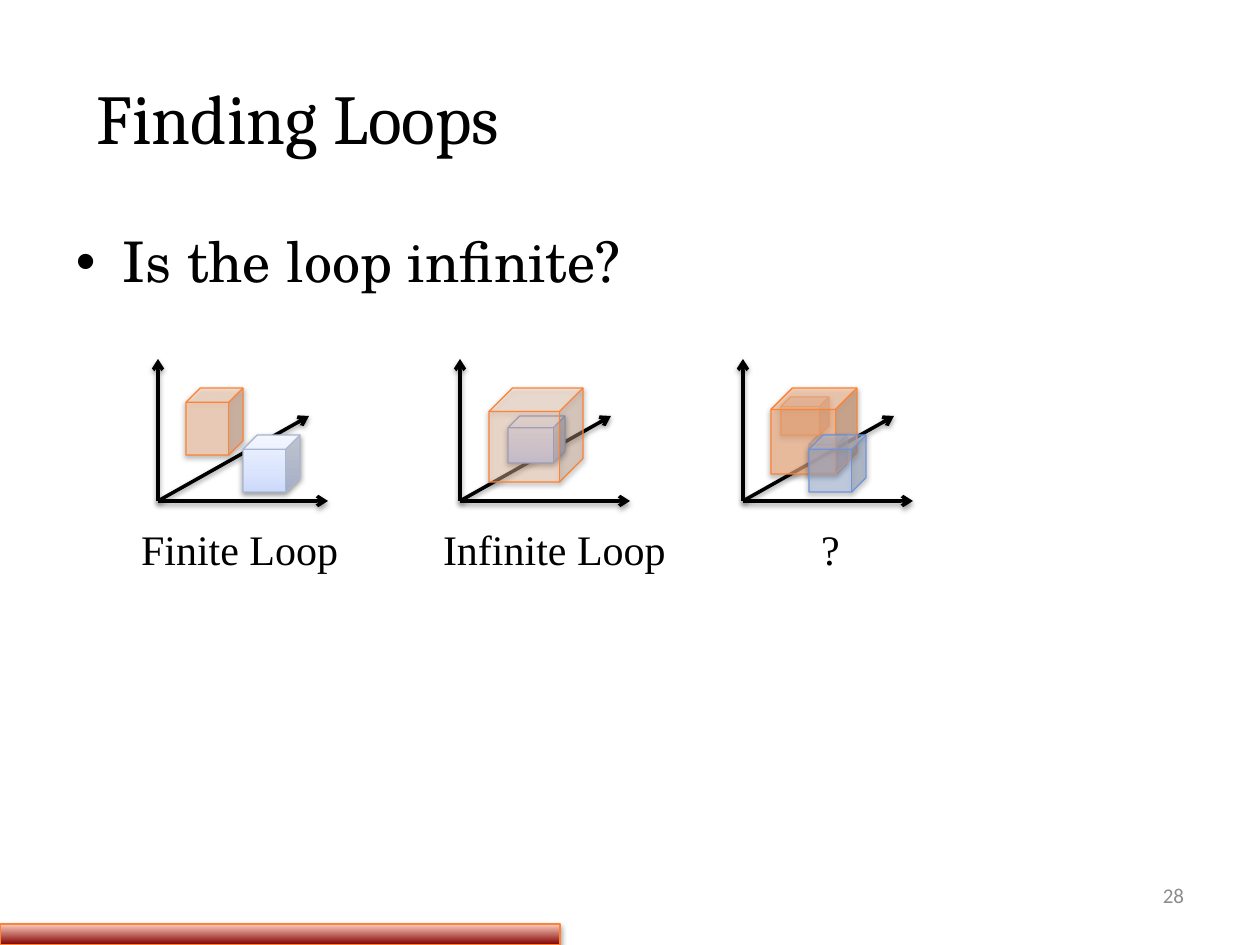
import dataclasses

import lxml.etree
import pptx
import pptx.dml.color
import pptx.enum.shapes
import pptx.enum.text
import pptx.oxml.ns
import pptx.util

PX_PER_INCH = 126
SHAPES = pptx.enum.shapes.MSO_SHAPE
ALIGN = pptx.enum.text.PP_ALIGN
ANCHOR = pptx.enum.text.MSO_ANCHOR


@dataclasses.dataclass(frozen=True)
class Theme:
    ink: str = "000000"
    muted: str = "8C8C8C"
    orange_line: str = "FD8231"
    blue_line: str = "7094D7"
    pale_line: str = "A9B6D1"
    peach: str = "FFCFAF"
    orange: str = "FEB687"
    blue: str = "ACC1E8"
    pale_stops: tuple = ((0, "CCD9FB"), (35, "DAE4FC"), (100, "F0F4FF"))
    blue_stops: tuple = ((0, "B8CCFF"), (35, "CCDAFF"), (100, "EBF1FF"))
    bar_stops: tuple = ((0, "7F0000"), (100, "FFCEBF"))
    title: tuple = ("Cambria", 40)
    body: tuple = ("TeX Gyre Schola", 32)
    label: tuple = ("Times New Roman", 24)
    number: tuple = ("Calibri", 12)


THEME = Theme()


def px(n):
    return pptx.util.Emu(round(n * 914400 / PX_PER_INCH))


def rgb(color):
    return pptx.dml.color.RGBColor.from_string(color)


def sub(parent, tag, **attrs):
    return lxml.etree.SubElement(parent, pptx.oxml.ns.qn(tag), attrs)


def add_shadow(spPr):
    """Append a soft downward shadow; fill and line must be set already."""
    shadow = sub(sub(spPr, "a:effectLst"), "a:outerShdw", blurRad="39400",
                 dist="20300", dir="5400000", rotWithShape="0")
    sub(sub(shadow, "a:srgbClr", val=THEME.ink), "a:alpha", val="38000")


def add_text(slide, box, text, font, color=THEME.ink, inset=(13, 6),
             anchor=ANCHOR.TOP, align=ALIGN.LEFT, wrap=True):
    tf = slide.shapes.add_textbox(*map(px, box)).text_frame
    tf.word_wrap = wrap
    tf.vertical_anchor = anchor
    tf.margin_left = tf.margin_right = px(inset[0])
    tf.margin_top = tf.margin_bottom = px(inset[1])
    tf.text = text
    p = tf.paragraphs[0]
    p.alignment = align
    r = p.runs[0]
    r.font.name, r.font.size = font[0], pptx.util.Pt(font[1])
    r.font.color.rgb = rgb(color)
    return p


def add_bullet(p, indent):
    pPr = p._p.get_or_add_pPr()
    pPr.set("marL", str(px(indent)))
    pPr.set("indent", str(-px(indent)))
    sub(pPr, "a:buFont", typeface="Arial")
    sub(pPr, "a:buChar", char="•")


def add_solid(slide, kind, box, fill, line, opacity=100):
    """Add a shape; fill is one colour or a bottom-to-top tuple of stops."""
    sp = slide.shapes.add_shape(kind, *map(px, box))
    spPr = sp._element.spPr
    if isinstance(fill, str):
        sp.fill.solid()
        sp.fill.fore_color.rgb = rgb(fill)
        clr = spPr.find(".//" + pptx.oxml.ns.qn("a:srgbClr"))
        sub(clr, "a:alpha", val=str(opacity * 1000))
    else:
        sp.fill.gradient()
        sp.fill.gradient_angle = 90
        stops = spPr.find(".//" + pptx.oxml.ns.qn("a:gsLst"))
        stops.clear()
        for pos, color in fill:
            sub(sub(stops, "a:gs", pos=str(pos * 1000)), "a:srgbClr", val=color)
    sp.line.color.rgb = rgb(line)
    sp.line.width = pptx.util.Pt(0.75)
    add_shadow(spPr)


def add_axes(slide, x, y):
    for dx, dy in ((151, -85), (0, -142), (170, 0)):
        c = slide.shapes.add_connector(
            pptx.enum.shapes.MSO_CONNECTOR.STRAIGHT,
            px(x), px(y), px(x + dx), px(y + dy))
        c.line.color.rgb = rgb(THEME.ink)
        c.line.width = pptx.util.Pt(2)
        spPr = c._element.spPr
        sub(spPr.find(pptx.oxml.ns.qn("a:ln")), "a:tailEnd", type="arrow")
        add_shadow(spPr)


def add_plot(slide, x, label, label_left, label_width, cubes):
    """Draw axes at x, cubes placed relative to the origin, and a label."""
    y = 501
    add_axes(slide, x, y)
    for (dx, dy, w, h), *style in cubes:
        add_solid(slide, SHAPES.CUBE, (x + dx, y + dy, w, h), *style)
    add_text(slide, (label_left, 519, label_width, 62), label, THEME.label,
             inset=(11, 5), wrap=False)


def main():
    t = THEME
    prs = pptx.Presentation()
    prs.slide_width, prs.slide_height = px(1260), px(945)
    slide = prs.slides.add_slide(prs.slide_layouts[6])

    add_text(slide, (84, 38, 1113, 157), "Finding Loops", t.title,
             anchor=ANCHOR.MIDDLE)
    p = add_text(slide, (63, 221, 1029, 101), "Is the loop infinite?", t.body)
    p.space_before = pptx.util.Pt(6.4)
    add_bullet(p, 47)

    add_plot(slide, 158, "Finite Loop", 130, 223, [
        ((28, -113, 57, 67), t.peach, t.orange_line, 63),
        ((85, -66, 57, 57), t.pale_stops, t.pale_line),
    ])
    add_plot(slide, 460, "Infinite Loop", 432, 248, [
        ((48, -85, 57, 47), t.blue_stops, t.blue_line),
        ((29, -113, 94, 94), t.peach, t.orange_line, 40),
    ])
    add_plot(slide, 743, "?", 810, 42, [
        ((66, -66, 38, 38), t.blue, t.blue_line, 49),
        ((38, -104, 48, 38), t.orange, t.orange_line, 63),
        ((28, -113, 86, 86), t.orange, t.orange_line, 63),
        ((66, -66, 57, 57), t.blue, t.blue_line, 49),
    ])

    add_text(slide, (903, 870, 294, 50), "28", t.number, t.muted,
             anchor=ANCHOR.MIDDLE, align=ALIGN.RIGHT)
    add_solid(slide, SHAPES.RECTANGLE, (0, 924, 560, 21), t.bar_stops,
              t.orange_line)
    prs.save("out.pptx")


if __name__ == "__main__":
    main()
